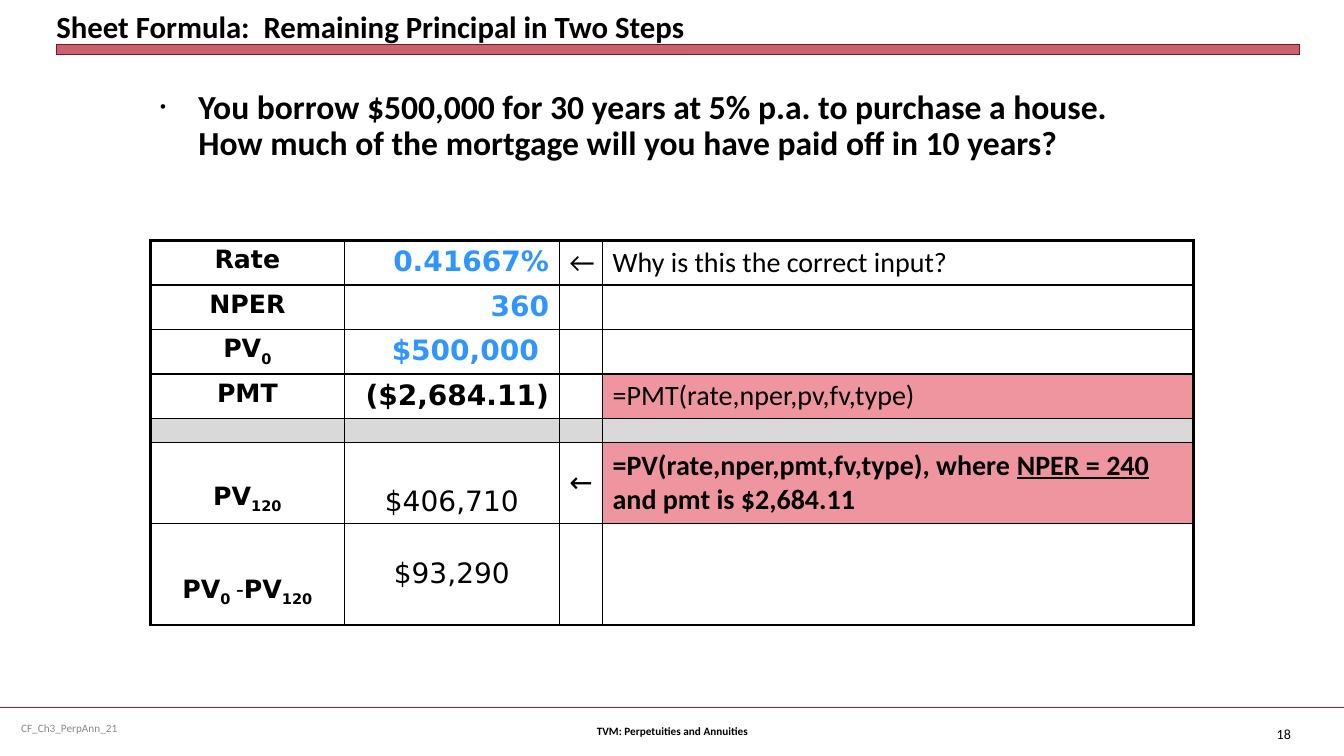
from dataclasses import dataclass
from lxml.etree import SubElement
from pptx import Presentation
from pptx.dml.color import RGBColor
from pptx.enum.shapes import MSO_CONNECTOR, MSO_SHAPE
from pptx.enum.text import MSO_ANCHOR, PP_ALIGN
from pptx.oxml.ns import qn
from pptx.util import Inches, Pt

WIDTH, HEIGHT = Inches(13.33), Inches(7.5)
LEFT, CENTER, RIGHT = PP_ALIGN.LEFT, PP_ALIGN.CENTER, PP_ALIGN.RIGHT
TOP, MIDDLE, BOTTOM = MSO_ANCHOR.TOP, MSO_ANCHOR.MIDDLE, MSO_ANCHOR.BOTTOM


@dataclass(frozen=True)
class Theme:
    body_font: str = "Calibri"
    number_font: str = "DejaVu Sans"
    black: str = "000000"
    white: str = "FFFFFF"
    muted: str = "898989"
    input_blue: str = "3096FF"
    red: str = "B01C2E"
    dark_red: str = "821522"
    pink: str = "EE95A0"
    gray: str = "D9D9D9"
    title: int = 22
    question: int = 24
    value: int = 20
    label: int = 18
    page_number: int = 10
    footer: int = 8


THEME = Theme()


@dataclass(frozen=True)
class Span:
    text: str
    size: int = THEME.value
    font: str = THEME.body_font
    color: str = THEME.black
    bold: bool = False
    underline: bool = False
    subscript: bool = False


@dataclass(frozen=True)
class Entry:
    spans: tuple
    align: PP_ALIGN = LEFT
    anchor: MSO_ANCHOR = TOP
    right: float = 0.75
    bottom: float = 0.67


def across(percent):
    return int(WIDTH * percent / 100)


def down(percent):
    return int(HEIGHT * percent / 100)


def place(left, top, width, height):
    return across(left), down(top), across(width), down(height)


def rgb(color):
    return RGBColor.from_string(color)


def write(para, spans, align=LEFT):
    para.alignment = align
    for item in spans:
        span = para.add_run()
        span.text = item.text
        span.font.size = Pt(item.size)
        span.font.name = item.font
        span.font.bold = item.bold
        span.font.underline = item.underline
        span.font.color.rgb = rgb(item.color)
        if item.subscript:
            span.font._element.set("baseline", "-25000")


def add_text(page, area, span, align=LEFT, anchor=MIDDLE, inset=True):
    box = page.shapes.add_textbox(*place(*area))
    frame = box.text_frame
    frame.word_wrap = True
    frame.vertical_anchor = anchor
    if not inset:
        frame.margin_left = frame.margin_right = frame.margin_top = frame.margin_bottom = 0
    write(frame.paragraphs[0], [span], align)
    return frame.paragraphs[0]


def add_bullet(para):
    para.line_spacing = 0.9
    properties = para._p.get_or_add_pPr()
    properties.set("marL", str(Inches(0.38)))
    properties.set("indent", str(-Inches(0.38)))
    SubElement(properties, qn("a:buSzPct"), val="50000")
    SubElement(properties, qn("a:buFont"), typeface="Arial")
    SubElement(properties, qn("a:buChar"), char="•")


def outline(shape, color, points):
    shape.line.color.rgb = rgb(color)
    shape.line.width = Pt(points)
    shape._element.remove(shape._element.find(qn("p:style")))


def add_title_bar(page):
    bar = page.shapes.add_shape(MSO_SHAPE.RECTANGLE, *place(4.2, 5.93, 92.5, 1.33))
    bar.shadow.inherit = False
    bar.fill.solid()
    bar.fill.fore_color.rgb = rgb(THEME.red)
    SubElement(bar.fill._xPr.find(qn("a:solidFill"))[0], qn("a:alpha"), val="69000")
    outline(bar, THEME.dark_red, 0)


def add_footer_rule(page):
    rule = page.shapes.add_connector(MSO_CONNECTOR.STRAIGHT, 0, down(93.6), WIDTH, down(93.6))
    outline(rule, THEME.red, 1.25)
    SubElement(rule._element.spPr, qn("a:effectLst"))


def add_borders(cell, outer_sides):
    properties = cell._tc.get_or_add_tcPr()
    for index, side in enumerate(("lnL", "lnR", "lnT", "lnB")):
        width = Pt(2.25) if side in outer_sides else Pt(1)
        line = properties.makeelement(qn(f"a:{side}"), {"w": str(width)})
        SubElement(SubElement(line, qn("a:solidFill")), qn("a:srgbClr"), val=THEME.black)
        properties.insert(index, line)


def fill_cell(cell, entry, color):
    cell.fill.solid()
    cell.fill.fore_color.rgb = rgb(color)
    if entry is None:
        cell.margin_top = cell.margin_bottom = 0
        SubElement(cell.text_frame.paragraphs[0]._p, qn("a:endParaRPr"), sz="800")
        return
    cell.vertical_anchor = entry.anchor
    cell.margin_right = across(entry.right)
    cell.margin_bottom = down(entry.bottom)
    write(cell.text_frame.paragraphs[0], entry.spans, entry.align)


def add_grid(page, left, top, columns, rows, entries, fills):
    frame = page.shapes.add_table(len(rows), len(columns),
                                  *place(left, top, sum(columns), sum(rows)))
    table = frame.table
    table.first_row = table.horz_banding = False
    for column, share in zip(table.columns, columns):
        column.width = across(share)
    for row, share in zip(table.rows, rows):
        row.height = down(share)
    for r in range(len(rows)):
        for c in range(len(columns)):
            cell = table.cell(r, c)
            fill_cell(cell, entries.get((r, c)), fills.get((r, c), THEME.white))
            edges = {"lnL": c == 0, "lnR": c == len(columns) - 1,
                     "lnT": r == 0, "lnB": r == len(rows) - 1}
            add_borders(cell, {side for side, outer in edges.items() if outer})


def label(text, subscript=False):
    return Span(text, THEME.label, THEME.number_font, bold=True, subscript=subscript)


def number(text, color=THEME.black, bold=True):
    return Span(text, font=THEME.number_font, color=color, bold=bold)


def mortgage_entries():
    present, final = (label("PV"), label("0", True)), (label("PV"), label("120", True))
    blue = THEME.input_blue
    return {
        (0, 0): Entry((label("Rate"),), CENTER),
        (0, 1): Entry((number("0.41667%", blue),), RIGHT),
        (0, 2): Entry((Span("←"),)),
        (0, 3): Entry((Span("Why is this the correct input?"),)),
        (1, 0): Entry((label("NPER"),), CENTER),
        (1, 1): Entry((number("360", blue),), RIGHT),
        (2, 0): Entry(present, CENTER),
        (2, 1): Entry((number("$500,000", blue),), RIGHT, right=1.5),
        (3, 0): Entry((label("PMT"),), CENTER),
        (3, 1): Entry((number("($2,684.11)"),), RIGHT),
        (3, 3): Entry((Span("=PMT(rate,nper,pv,fv,type)"),)),
        (5, 0): Entry(final, CENTER, BOTTOM, bottom=1.1),
        (5, 1): Entry((number("$406,710", bold=False),), CENTER, BOTTOM),
        (5, 2): Entry((number("←", bold=False),), CENTER, MIDDLE),
        (5, 3): Entry((Span("=PV(rate,nper,pmt,fv,type), where ", bold=True),
                       Span("NPER = 240", bold=True, underline=True),
                       Span(" and pmt is $2,684.11", bold=True)), anchor=MIDDLE),
        (6, 0): Entry((*present, Span(" -", THEME.label), *final), CENTER, BOTTOM, bottom=2.2),
        (6, 1): Entry((number("$93,290", bold=False),), CENTER, MIDDLE),
    }


def main():
    deck = Presentation()
    deck.slide_width, deck.slide_height = WIDTH, HEIGHT
    page = deck.slides.add_slide(deck.slide_layouts[6])
    add_footer_rule(page)
    add_title_bar(page)
    add_text(page, (4.2, 0.6, 92.5, 5.33), Span("Sheet Formula:  Remaining Principal in Two Steps",
             THEME.title, bold=True), anchor=BOTTOM, inset=False)
    add_text(page, (0.83, 93.6, 25.81, 5.33),
             Span("CF_Ch3_PerpAnn_21", THEME.footer, color=THEME.muted))
    add_text(page, (34.21, 94, 31.66, 5.33),
             Span("TVM: Perpetuities and Annuities", THEME.footer, bold=True), CENTER)
    add_text(page, (91.75, 94.4, 5.03, 5.33), Span("18", THEME.page_number), RIGHT)
    fills = {(4, column): THEME.gray for column in range(4)}
    fills |= {(row, 3): THEME.pink for row in (3, 5)}
    add_grid(page, 11.18, 31.8, (14.45, 15.98, 3.23, 43.96),
             (5.89,) * 4 + (3.17, 10.71, 13.43), mortgage_entries(), fills)
    question = Span("You borrow $500,000 for 30 years at 5% p.a. to purchase a house. "
                    "How much of the mortgage will you have paid off in 10 years?",
                    THEME.question, bold=True)
    add_bullet(add_text(page, (11.18, 11.33, 75.17, 15.07), question, anchor=TOP))
    deck.save("out.pptx")


if __name__ == "__main__":
    main()
